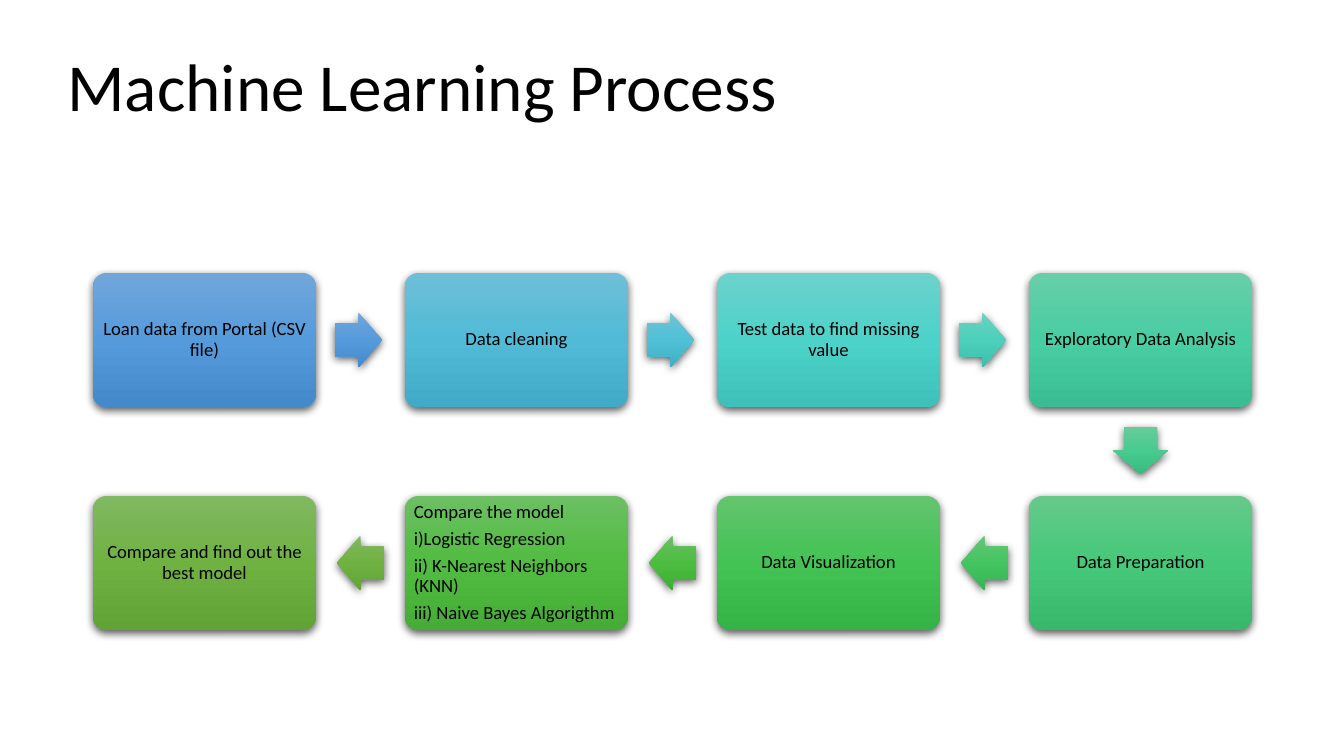
from lxml import etree
from pptx import Presentation
from pptx.dml.color import RGBColor
from pptx.enum.shapes import MSO_SHAPE
from pptx.enum.text import MSO_ANCHOR, PP_ALIGN
from pptx.oxml import parse_xml
from pptx.oxml.ns import nsdecls, qn
from pptx.util import Pt

ROUNDED, ARROW = MSO_SHAPE.ROUNDED_RECTANGLE, MSO_SHAPE.RIGHT_ARROW
LEFT, CENTER = PP_ALIGN.LEFT, PP_ALIGN.CENTER
TOP, MIDDLE = MSO_ANCHOR.TOP, MSO_ANCHOR.MIDDLE

EMU_PER_PX = 914400 / 134.4
TITLE_ONLY = 5
FONT = "Calibri"

# Gradients run from top to bottom: light, middle, dark.
COLORS = {
    "text": "000000",
    "shadow": "000000",
    "boxes": [
        ("71A6DB", "559BDB", "448ACA"),
        ("6EBFD7", "51BBD7", "41AAC6"),
        ("6BD2CC", "4DD2CA", "3DC1B9"),
        ("68CEAA", "49CDA2", "3ABD92"),
        ("66C98A", "46C87A", "37B86B"),
        ("64C46F", "43C354", "35B346"),
        ("6CBF62", "51BC41", "45AC35"),
        ("81B861", "6FB242", "62A336"),
    ],
    "arrows": [
        ("71A6DB", "559BDB", "448ACA"),
        ("6EC4D6", "50C0D6", "40AFC5"),
        ("6AD1C0", "4CD0BC", "3CC0AC"),
        ("67CC9A", "47CB8E", "39BB7F"),
        ("64C677", "44C460", "36B552"),
        ("69C062", "4CBD41", "3FAD34"),
        ("81B861", "6FB242", "62A336"),
    ],
}

STEPS = [
    ["Loan data from Portal (CSV file)"],
    ["Data cleaning"],
    ["Test data to find missing value"],
    ["Exploratory Data Analysis"],
    ["Data Preparation"],
    ["Data Visualization"],
    [
        "Compare the model",
        "i)Logistic Regression",
        "ii) K-Nearest Neighbors (KNN)",
        "iii) Naive Bayes Algorigthm",
    ],
    ["Compare and find out the best model"],
]

COLUMNS = 4
GRID_LEFT, GRID_TOP = 93, 273
COLUMN_STEP, ROW_STEP = 312, 223
BOX_WIDTH, BOX_HEIGHT = 223, 134
ARROW_LENGTH, ARROW_BREADTH = 47, 55
BOX_MARGIN = 5


def px(length):
    return round(length * EMU_PER_PX)


class ProcessSlide:
    def __init__(self, presentation):
        self.slide = presentation.slides.add_slide(
            presentation.slide_layouts[TITLE_ONLY])

    def style(self, paragraph, size, alignment):
        paragraph.alignment = alignment
        paragraph.font.name = FONT
        paragraph.font.size = Pt(size)
        paragraph.font.color.rgb = RGBColor.from_string(COLORS["text"])

    def title(self, text, left, top, width, height):
        shape = self.slide.shapes.title
        shape.left, shape.top = px(left), px(top)
        shape.width, shape.height = px(width), px(height)
        shape.text_frame.text = text
        shape.text_frame.vertical_anchor = TOP
        self.style(shape.text_frame.paragraphs[0], 36, LEFT)

    def raised_shape(self, kind, left, top, width, height, gradient):
        """Add a shape whose gradient and shadow stay upright when it turns."""
        shape = self.slide.shapes.add_shape(
            kind, px(left), px(top), px(width), px(height))
        shape.line.fill.background()
        shape.shadow.inherit = False
        shape.fill.background()
        properties = shape.fill._xPr
        fill = parse_xml(f'<a:gradFill {nsdecls("a")} rotWithShape="0"/>')
        stops = etree.SubElement(fill, qn("a:gsLst"))
        for position, color in zip((0, 50000, 100000), gradient):
            stop = etree.SubElement(stops, qn("a:gs"), pos=str(position))
            etree.SubElement(stop, qn("a:srgbClr"), val=color)
        etree.SubElement(fill, qn("a:lin"), ang="5400000", scaled="0")
        properties.replace(properties.find(qn("a:noFill")), fill)
        shadow = etree.SubElement(
            properties.find(qn("a:effectLst")), qn("a:outerShdw"),
            blurRad=str(Pt(4.5)), dist=str(Pt(1.5)), dir="5400000",
            algn="ctr", rotWithShape="0")
        color = etree.SubElement(shadow, qn("a:srgbClr"), val=COLORS["shadow"])
        etree.SubElement(color, qn("a:alpha"), val="63000")
        return shape

    def box(self, lines, left, top, gradient):
        shape = self.raised_shape(
            ROUNDED, left, top, BOX_WIDTH, BOX_HEIGHT, gradient)
        shape.adjustments[0] = 0.1
        frame = shape.text_frame
        frame.word_wrap = True
        frame.vertical_anchor = MIDDLE
        frame.margin_left = frame.margin_right = px(BOX_MARGIN)
        frame.margin_top = frame.margin_bottom = px(BOX_MARGIN)
        frame.text = "\n".join(lines)
        for paragraph in frame.paragraphs:
            paragraph.line_spacing = 0.9
            paragraph.space_after = Pt(3.5)
            self.style(paragraph, 10, LEFT if len(lines) > 1 else CENTER)

    def arrow(self, center_x, center_y, rotation, gradient):
        shape = self.raised_shape(
            ARROW, center_x - ARROW_LENGTH / 2, center_y - ARROW_BREADTH / 2,
            ARROW_LENGTH, ARROW_BREADTH, gradient)
        shape.adjustments[0] = 0.6
        shape.adjustments[1] = 0.5
        shape.rotation = rotation


def box_position(index):
    """Return left and top: first row rightwards, second row back leftwards."""
    row, column = divmod(index, COLUMNS)
    if row:
        column = COLUMNS - 1 - column
    return GRID_LEFT + column * COLUMN_STEP, GRID_TOP + row * ROW_STEP


def main():
    presentation = Presentation()
    presentation.slide_width, presentation.slide_height = px(1344), px(756)
    process = ProcessSlide(presentation)
    process.title("Machine Learning Process", 54, 38, 879, 113)

    for index, lines in enumerate(STEPS):
        process.box(lines, *box_position(index), COLORS["boxes"][index])

    for index, gradient in enumerate(COLORS["arrows"]):
        left, top = box_position(index)
        next_left, next_top = box_position(index + 1)
        center_x = (left + next_left + BOX_WIDTH) / 2
        center_y = (top + next_top + BOX_HEIGHT) / 2
        if next_top > top:
            process.arrow(center_x, center_y - 1, 90, gradient)
        elif next_left > left:
            process.arrow(center_x - 2, center_y, 0, gradient)
        else:
            process.arrow(center_x, center_y, 180, gradient)

    presentation.save("out.pptx")


if __name__ == "__main__":
    main()
